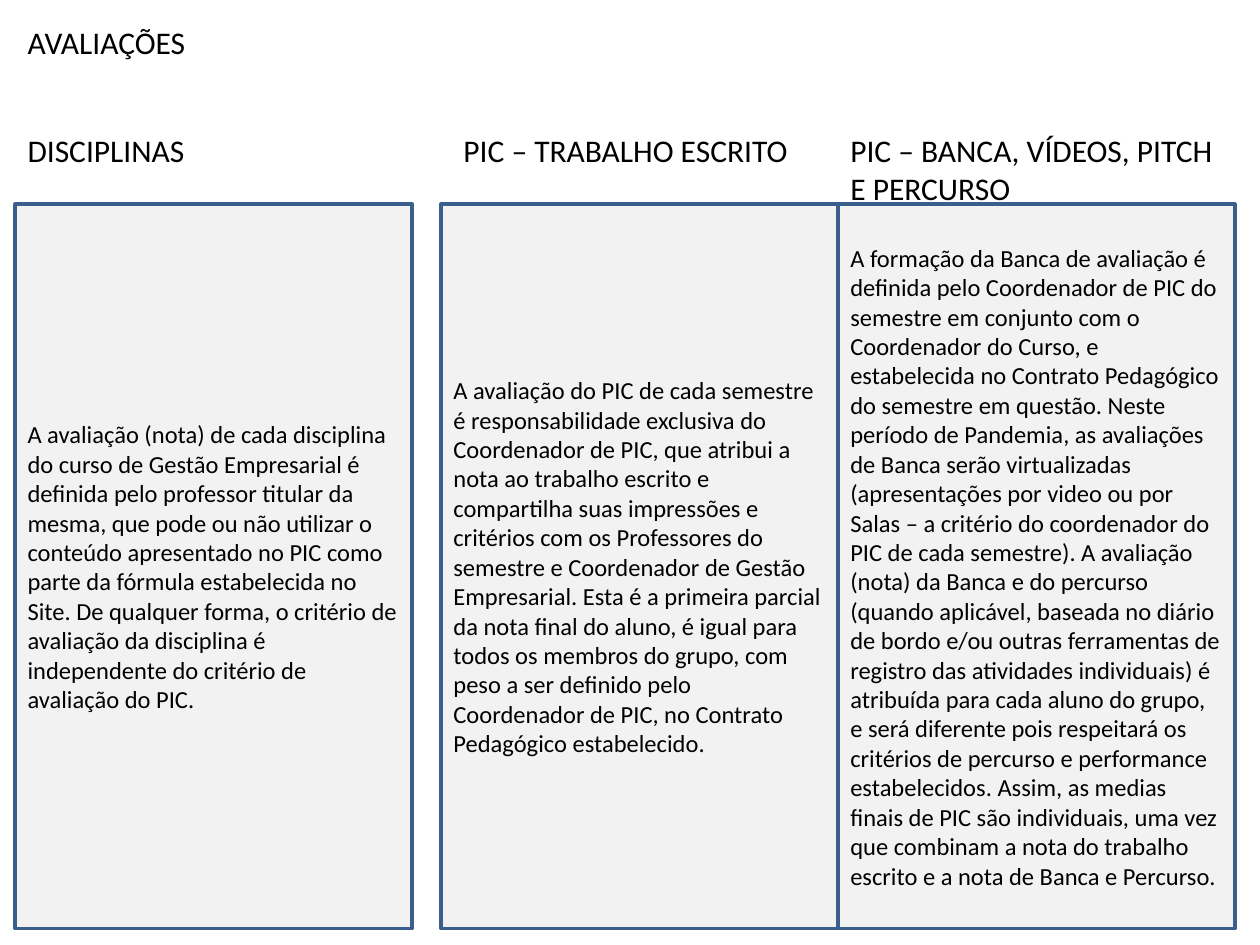
from pptx import Presentation
from pptx.dml.color import RGBColor
from pptx.enum.shapes import MSO_SHAPE
from pptx.enum.text import MSO_ANCHOR, MSO_AUTO_SIZE, PP_ALIGN
from pptx.util import Inches, Pt

BLACK = RGBColor(0x00, 0x00, 0x00)
PANEL_FILL = RGBColor(0xF2, 0xF2, 0xF2)
PANEL_LINE = RGBColor(0x3A, 0x5F, 0x8C)

FONT = "Calibri"
LEFT = 0.12
COLUMN_WIDTH = 3.15
HEADING_TOP, HEADING_HEIGHT = 0.99, 0.4
PANEL_TOP, PANEL_HEIGHT = 1.62, 5.75

# Heading left, panel left, heading, assessment rule
COLUMNS = [
    (LEFT, LEFT, "DISCIPLINAS",
     "A avaliação (nota) de cada disciplina do curso de Gestão Empresarial é "
     "definida pelo professor titular da mesma, que pode ou não utilizar o "
     "conteúdo apresentado no PIC como parte da fórmula estabelecida no Site. "
     "De qualquer forma, o critério de avaliação da disciplina é independente "
     "do critério de avaliação do PIC."),
    (3.58, 3.5, "PIC – TRABALHO ESCRITO",
     "A avaliação do PIC de cada semestre é responsabilidade exclusiva do "
     "Coordenador de PIC, que atribui a nota ao trabalho escrito e compartilha "
     "suas impressões e critérios com os Professores do semestre e Coordenador "
     "de Gestão Empresarial. Esta é a primeira parcial da nota final do aluno, "
     "é igual para todos os membros do grupo, com peso a ser definido pelo "
     "Coordenador de PIC, no Contrato Pedagógico estabelecido."),
    (6.65, 6.65, "PIC – BANCA, VÍDEOS, PITCH E PERCURSO",
     "A formação da Banca de avaliação é definida pelo Coordenador de PIC do "
     "semestre em conjunto com o Coordenador do Curso, e estabelecida no "
     "Contrato Pedagógico do semestre em questão. Neste período de Pandemia, "
     "as avaliações de Banca serão virtualizadas (apresentações por video ou "
     "por Salas – a critério do coordenador do PIC de cada semestre). A "
     "avaliação (nota) da Banca e do percurso (quando aplicável, baseada no "
     "diário de bordo e/ou outras ferramentas de registro das atividades "
     "individuais) é atribuída para cada aluno do grupo, e será diferente pois "
     "respeitará os critérios de percurso e performance estabelecidos. Assim, "
     "as medias finais de PIC são individuais, uma vez que combinam a nota do "
     "trabalho escrito e a nota de Banca e Percurso."),
]


def write_text(shape, text, size, anchor=MSO_ANCHOR.TOP):
    frame = shape.text_frame
    frame.text = text
    frame.word_wrap = True
    frame.auto_size = MSO_AUTO_SIZE.NONE
    frame.vertical_anchor = anchor
    paragraph = frame.paragraphs[0]
    paragraph.alignment = PP_ALIGN.LEFT
    font = paragraph.runs[0].font
    font.name = FONT
    font.size = Pt(size)
    font.color.rgb = BLACK


def set_title(slide, text):
    title = slide.shapes.title
    title.left, title.top = Inches(LEFT), Inches(0.13)
    title.width, title.height = Inches(7.56), Inches(0.4)
    write_text(title, text, 18)


def add_heading(slide, left, text):
    heading = slide.shapes.add_textbox(
        Inches(left), Inches(HEADING_TOP),
        Inches(COLUMN_WIDTH), Inches(HEADING_HEIGHT))
    write_text(heading, text, 18)
    heading.text_frame.auto_size = MSO_AUTO_SIZE.SHAPE_TO_FIT_TEXT


def add_panel(slide, left, text):
    panel = slide.shapes.add_shape(
        MSO_SHAPE.RECTANGLE, Inches(left), Inches(PANEL_TOP),
        Inches(COLUMN_WIDTH), Inches(PANEL_HEIGHT))
    panel.shadow.inherit = False
    panel.fill.solid()
    panel.fill.fore_color.rgb = PANEL_FILL
    panel.line.color.rgb = PANEL_LINE
    panel.line.width = Pt(2)
    write_text(panel, text, 14, MSO_ANCHOR.MIDDLE)


def main():
    deck = Presentation()
    deck.slide_width, deck.slide_height = Inches(10), Inches(7.5)
    slide = deck.slides.add_slide(deck.slide_layouts.get_by_name("Title Only"))
    set_title(slide, "AVALIAÇÕES")
    for heading_left, panel_left, heading, rule in COLUMNS:
        add_panel(slide, panel_left, rule)
        add_heading(slide, heading_left, heading)
    deck.save("out.pptx")


if __name__ == "__main__":
    main()
